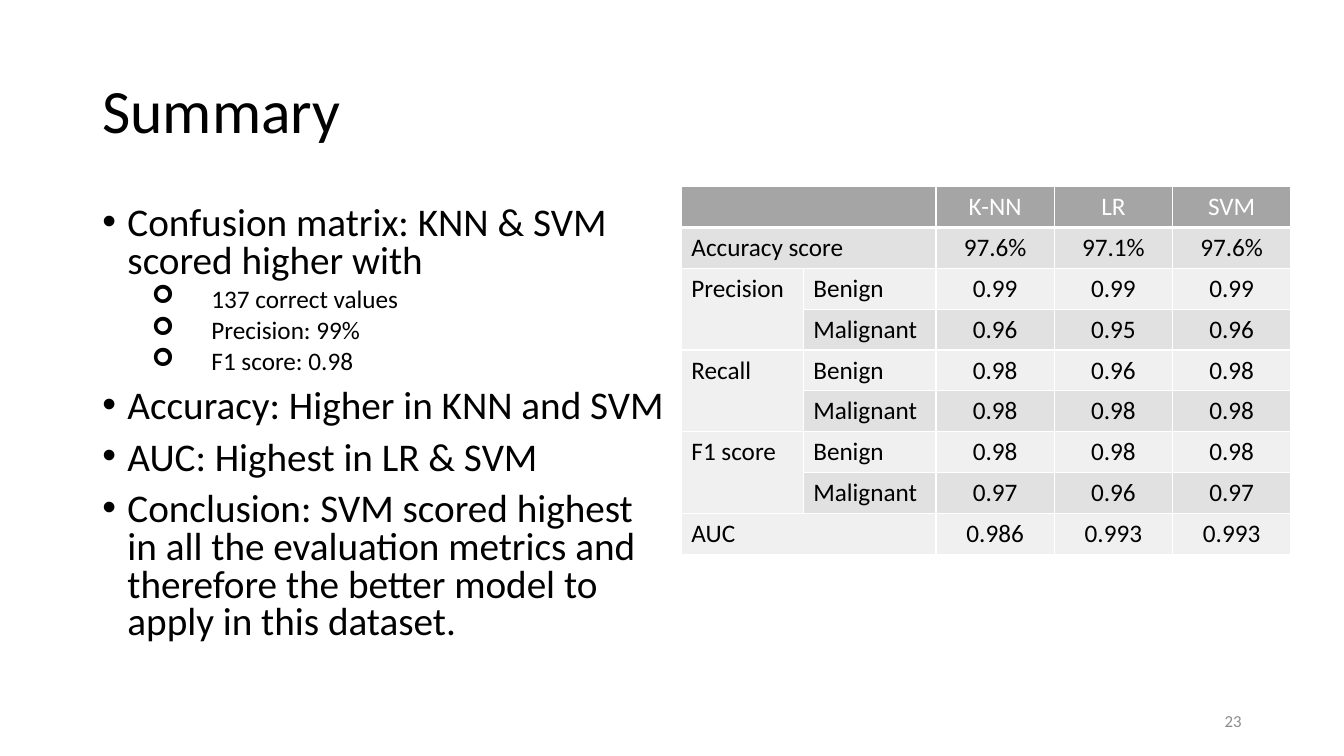
from lxml.etree import SubElement
from pptx import Presentation
from pptx.dml.color import RGBColor
from pptx.enum.text import MSO_ANCHOR, PP_ALIGN
from pptx.oxml.ns import qn
from pptx.util import Pt

HEADS = ["K-NN", "LR", "SVM"]
ROWS = [
    ("Accuracy score", "", "97.6%", "97.1%", "97.6%"),
    ("Precision", "Benign", "0.99", "0.99", "0.99"),
    ("", "Malignant", "0.96", "0.95", "0.96"),
    ("Recall", "Benign", "0.98", "0.96", "0.98"),
    ("", "Malignant", "0.98", "0.98", "0.98"),
    ("F1 score", "Benign", "0.98", "0.98", "0.98"),
    ("", "Malignant", "0.97", "0.96", "0.97"),
    ("AUC", "", "0.986", "0.993", "0.993"),
]
POINTS = [
    (0, "Confusion matrix: KNN & SVM scored higher with"),
    (6, "137 correct values"),
    (6, "Precision: 99%"),
    (6, "F1 score: 0.98"),
    (0, "Accuracy: Higher in KNN and SVM"),
    (0, "AUC: Highest in LR & SVM"),
    (0, "Conclusion: SVM scored highest in all the evaluation metrics and "
        "therefore the better model to apply in this dataset."),
]


def tint(hue):
    return RGBColor.from_string(hue)


def write(para, text, size=18, hue="000000", align=PP_ALIGN.LEFT,
          line=None, before=None):
    run = para.add_run()
    run.text = text
    run.font.name = "Calibri"
    run.font.size = Pt(size)
    run.font.color.rgb = tint(hue)
    para.alignment = align
    para.line_spacing = line
    if before is not None:
        para.space_before = Pt(before)


def frame(slide, box, anchor=MSO_ANCHOR.MIDDLE):
    """Add a wrapping text box and return its text frame."""
    text = slide.shapes.add_textbox(*map(Pt, box)).text_frame
    text.word_wrap = True
    text.vertical_anchor = anchor
    return text


def mark(para, sign, font, left, hang):
    """Give a paragraph a bullet and a hanging indent."""
    props = para._p.get_or_add_pPr()
    props.set("marL", str(Pt(left)))
    props.set("indent", str(-Pt(hang)))
    SubElement(props, qn("a:buFont"), typeface=font)
    SubElement(props, qn("a:buChar"), char=sign)


def title(slide, box):
    write(frame(slide, box).paragraphs[0], "Summary", size=44, line=0.9)


def points(slide, box):
    text = frame(slide, box, MSO_ANCHOR.TOP)
    for num, (level, words) in enumerate(POINTS):
        para = text.add_paragraph() if num else text.paragraphs[0]
        para.level = level
        if level:
            write(para, words, size=18, line=0.8, before=5)
            mark(para, "➢", "Wingdings", 78, 42.5)
        else:
            write(para, words, size=28, line=0.8, before=10)
            mark(para, "•", "Arial", 18, 18)


def edge(cell, base):
    """Draw white cell borders, with the given width at the bottom."""
    props = cell._tc.get_or_add_tcPr()
    for side, width in zip("LRTB", (1, 1, 1, base)):
        line = SubElement(props, qn(f"a:ln{side}"), w=str(Pt(width)))
        fill = SubElement(line, qn("a:solidFill"))
        SubElement(fill, qn("a:srgbClr"), val="FFFFFF")


def scores(slide, box):
    rows = [("", "", *HEADS), *ROWS]
    left, top, wide, high = box
    table = slide.shapes.add_table(
        len(rows), 5, Pt(left), Pt(top), Pt(wide), Pt(high)).table
    for col, share in zip(table.columns, (0.2, 0.218, 0.194, 0.194, 0.194)):
        col.width = Pt(wide * share)
    for y, row in enumerate(rows):
        table.rows[y].height = Pt(high / len(rows))
        for x, words in enumerate(row):
            cell = table.cell(y, x)
            edge(cell, 1 if y else 3)
            cell.fill.solid()
            shade = ("F0F0F0", "E1E1E1")[y % 2] if y else "A5A5A5"
            cell.fill.fore_color.rgb = tint(shade)
            if words:
                write(cell.text_frame.paragraphs[0], words,
                      hue="000000" if y else "FFFFFF",
                      align=PP_ALIGN.CENTER if x > 1 else PP_ALIGN.LEFT)
        if not row[1]:
            table.cell(y, 0).merge(table.cell(y, 1))
        elif not row[0]:
            table.cell(y - 1, 0).merge(table.cell(y, 0))


def number(slide, box):
    write(frame(slide, box).paragraphs[0], "23", size=12, hue="8C8C8C",
          align=PP_ALIGN.RIGHT)


def main():
    deck = Presentation()
    deck.slide_width, deck.slide_height = Pt(960), Pt(540)
    slide = deck.slides.add_slide(deck.slide_layouts[6])
    title(slide, (66, 28.75, 828, 104.4))
    points(slide, (66, 144, 420.5, 348))
    number(slide, (678, 500.5, 216, 28.75))
    scores(slide, (486.7, 133.2, 435.3, 262.8))
    deck.save("out.pptx")


if __name__ == "__main__":
    main()
